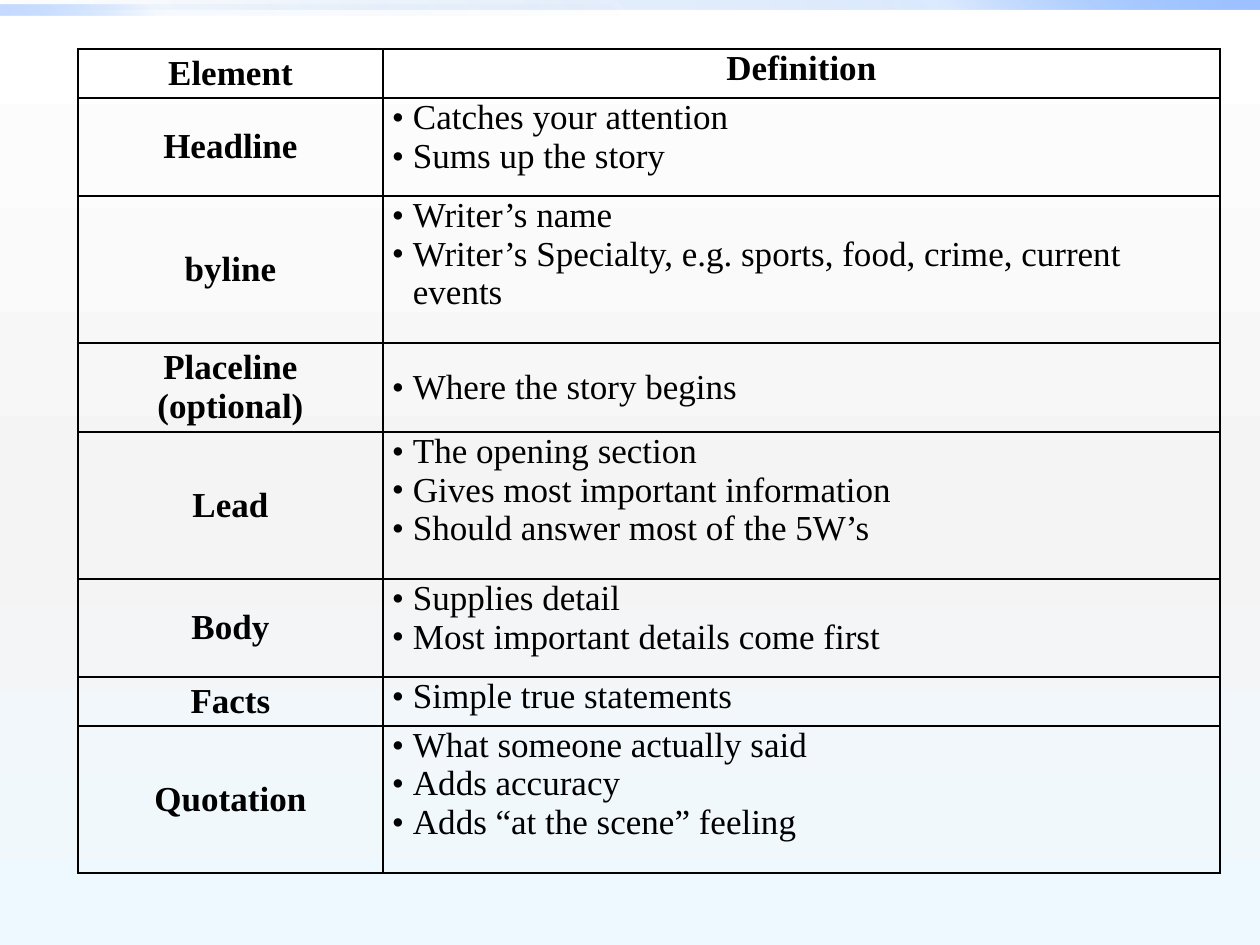
"""Build a slide with a table of news article elements and their definitions."""
from typing import NamedTuple

from lxml.etree import SubElement
from pptx import Presentation
from pptx.dml.color import RGBColor
from pptx.enum.shapes import MSO_SHAPE
from pptx.enum.text import MSO_ANCHOR, PP_ALIGN
from pptx.oxml.ns import qn
from pptx.util import Emu, Pt

PX_PER_INCH = 126
FONT = "Times New Roman"
COLORS = {
    "text": "000000",
    "white": "FFFFFF",
    "grey": "F4F4F4",
    "ice": "EEF9FF",
    "deep": "0058B7",
    "blue": "4F95FF",
    "sky": "9EC2FF",
}


class Stop(NamedTuple):
    position: int
    color: str
    opacity: int = 100


class Bar(NamedTuple):
    top: int
    width: int
    angle: int
    stops: list[Stop]


class Entry(NamedTuple):
    element: list[str]
    definition: list[str]
    height: int
    anchor: MSO_ANCHOR = MSO_ANCHOR.TOP


BACKGROUND = [Stop(0, "white"), Stop(55, "grey"), Stop(100, "ice")]
BARS = [
    Bar(0, 1260, 315, [Stop(0, "deep", 0), Stop(75, "blue", 20), Stop(100, "sky")]),
    Bar(5, 630, 135, [Stop(0, "deep", 0), Stop(75, "blue", 5), Stop(100, "sky", 60)]),
]
HEADER = Entry(["Element"], ["Definition"], 49)
ENTRIES = [
    Entry(["Headline"], ["Catches your attention", "Sums up the story"], 98),
    Entry(
        ["byline"],
        ["Writer’s name", "Writer’s Specialty, e.g. sports, food, crime, current events"],
        147,
    ),
    Entry(["Placeline", "(optional)"], ["Where the story begins"], 89, MSO_ANCHOR.MIDDLE),
    Entry(
        ["Lead"],
        ["The opening section", "Gives most important information", "Should answer most of the 5W’s"],
        147,
    ),
    Entry(["Body"], ["Supplies detail", "Most important details come first"], 98),
    Entry(["Facts"], ["Simple true statements"], 49),
    Entry(
        ["Quotation"],
        ["What someone actually said", "Adds accuracy", "Adds “at the scene” feeling"],
        147,
    ),
]
COLUMN_WIDTHS = [305, 837]


def px(length: int) -> Emu:
    """Turn pixels into EMU."""
    return Emu(round(length * 914400 / PX_PER_INCH))


def set_gradient(fill, owner, stops: list[Stop], angle: int) -> None:
    """Fill with a linear gradient whose angle runs clockwise."""
    fill.gradient()
    fill.gradient_angle = 360 - angle
    stop_list = owner.find(".//" + qn("a:gsLst"))
    stop_list.clear()
    for stop in stops:
        mark = SubElement(stop_list, qn("a:gs"), pos=str(stop.position * 1000))
        color = SubElement(mark, qn("a:srgbClr"), val=COLORS[stop.color])
        if stop.opacity < 100:
            SubElement(color, qn("a:alpha"), val=str(stop.opacity * 1000))


def draw_bar(slide, bar: Bar) -> None:
    """Draw one gradient bar at the top edge."""
    band = slide.shapes.add_shape(MSO_SHAPE.RECTANGLE, 0, px(bar.top), px(bar.width), px(10))
    set_gradient(band.fill, band._element, bar.stops, bar.angle)
    band.line.fill.background()
    band.shadow.inherit = False


def add_borders(cell) -> None:
    """Give a cell a thin black line on every side."""
    properties = cell._tc.get_or_add_tcPr()
    for side in ("lnL", "lnR", "lnT", "lnB"):
        line = SubElement(properties, qn(f"a:{side}"), w=str(Pt(1)))
        solid = SubElement(line, qn("a:solidFill"))
        SubElement(solid, qn("a:srgbClr"), val=COLORS["text"])


def add_bullet(paragraph) -> None:
    """Give a paragraph a round bullet with a hanging indent."""
    properties = paragraph._p.get_or_add_pPr()
    properties.set("marL", str(px(21)))
    properties.set("indent", str(px(-21)))
    SubElement(properties, qn("a:buFont"), typeface=FONT)
    SubElement(properties, qn("a:buChar"), char="•")


def fill_cell(cell, lines: list[str], anchor: MSO_ANCHOR, heading: bool) -> None:
    """Write a bold centred heading or a bulleted list into a cell."""
    add_borders(cell)
    cell.fill.background()
    cell.vertical_anchor = anchor
    cell.margin_left = cell.margin_right = px(9)
    cell.margin_top = cell.margin_bottom = 0
    cell.text = "\n".join(lines)
    for paragraph in cell.text_frame.paragraphs:
        if heading:
            paragraph.alignment = PP_ALIGN.CENTER
        else:
            add_bullet(paragraph)
        paragraph.font.name = FONT
        paragraph.font.size = Pt(20)
        paragraph.font.bold = heading
        paragraph.font.color.rgb = RGBColor.from_string(COLORS["text"])


def draw_table(slide, entries: list[Entry]) -> None:
    """Draw the table of elements under its header."""
    rows = [HEADER, *entries]
    table = slide.shapes.add_table(
        len(rows),
        len(COLUMN_WIDTHS),
        px(78),
        px(49),
        px(sum(COLUMN_WIDTHS)),
        px(sum(entry.height for entry in rows)),
    ).table
    table.first_row = table.horz_banding = False
    for column, width in zip(table.columns, COLUMN_WIDTHS):
        column.width = px(width)
    for index, entry in enumerate(rows):
        table.rows[index].height = px(entry.height)
        fill_cell(table.cell(index, 0), entry.element, MSO_ANCHOR.MIDDLE, True)
        fill_cell(table.cell(index, 1), entry.definition, entry.anchor, entry is HEADER)


def main() -> None:
    """Build and save the slide."""
    presentation = Presentation()
    presentation.slide_width = px(1260)
    presentation.slide_height = px(945)
    slide = presentation.slides.add_slide(presentation.slide_layouts[6])
    set_gradient(slide.background.fill, slide._element, BACKGROUND, 90)
    for bar in BARS:
        draw_bar(slide, bar)
    draw_table(slide, ENTRIES)
    presentation.save("out.pptx")


if __name__ == "__main__":
    main()
